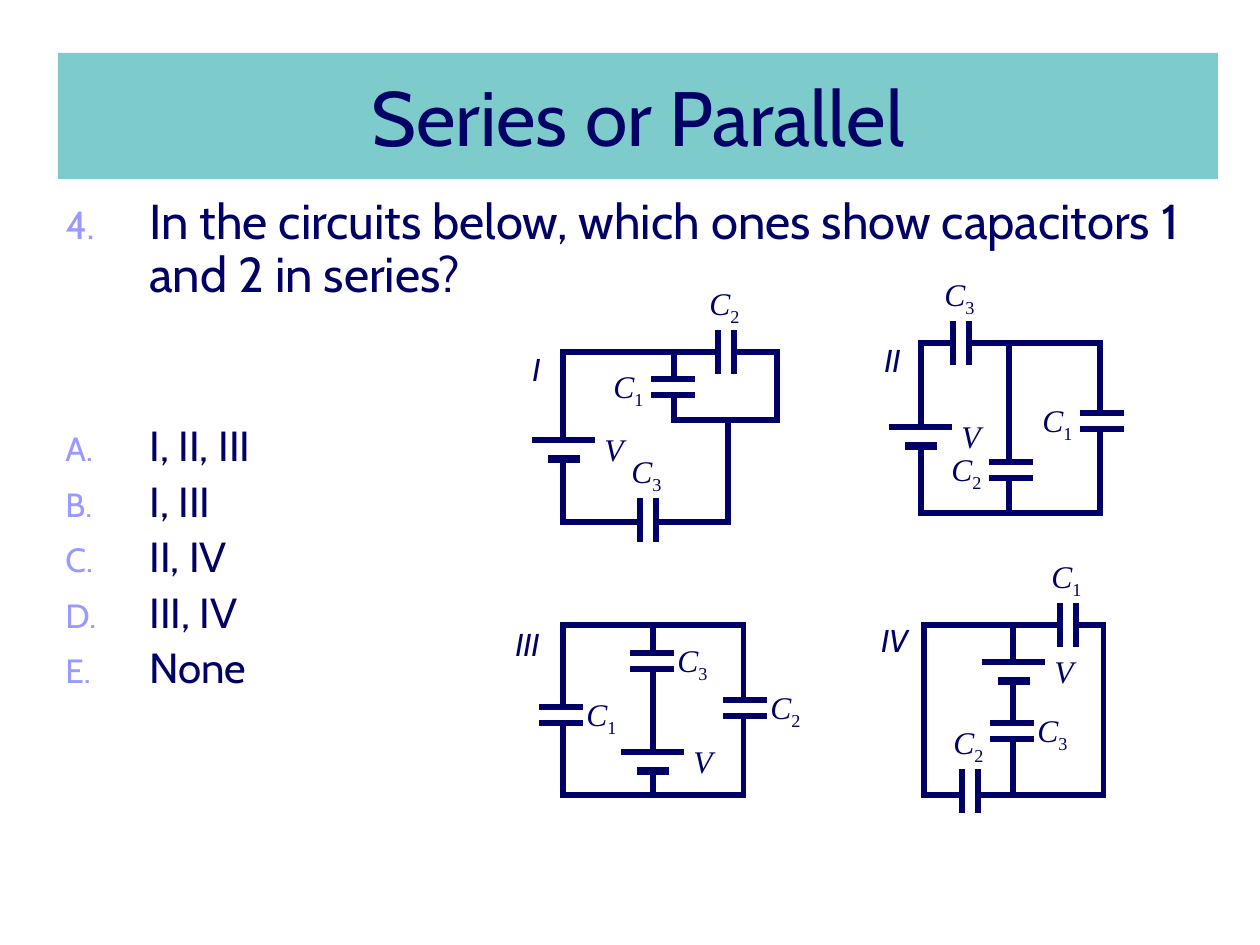
import pptx
import pptx.util
import pptx.dml.color
import pptx.enum.shapes
import pptx.enum.text
import pptx.oxml.ns
import lxml.etree

PX = 914400 // 126
NAVY = pptx.dml.color.RGBColor(0x00, 0x00, 0x66)
TEAL = pptx.dml.color.RGBColor(0x00, 0x99, 0x99)
LILAC = pptx.dml.color.RGBColor(0x99, 0x99, 0xFF)
WHITE = pptx.dml.color.RGBColor(0xFF, 0xFF, 0xFF)
SANS, SERIF = "Cabin", "Times New Roman"

TITLE = "Series or Parallel"
QUESTION = "In the circuits below, which ones show capacitors 1 and 2 in series?"
ANSWERS = ["I, II, III", "I, III", "II, IV", "III, IV", "None"]

# Circuit: name box, wire loops (the second hides wires behind it), battery
# (left end of its long plate), and capacitors as (number, x, y of the first
# plate, side of the label)
CIRCUITS = [
    dict(name="III", name_box=(500, 619, 55, 50), fills=(WHITE, WHITE),
         loops=[(563, 625, 91, 170), (653, 625, 91, 170)], battery=(621, 752),
         capacitors=[(1, 539, 707, "right"), (3, 630, 653, "right"),
                     (2, 723, 700, "right")]),
    dict(name="II", name_box=(870, 335, 45, 50), fills=(WHITE, WHITE),
         loops=[(921, 343, 91, 170), (1009, 343, 91, 170)], battery=(889, 427),
         capacitors=[(2, 989, 462, "left"), (1, 1080, 413, "left"),
                     (3, 953, 321, "above")]),
    dict(name="IV", name_box=(868, 615, 53, 50), fills=(WHITE, WHITE),
         loops=[(924, 625, 91, 170), (1013, 625, 91, 170)], battery=(982, 662),
         capacitors=[(3, 990, 723, "right"), (1, 1060, 603, "above"),
                     (2, 962, 769, "above")]),
    dict(name="I", name_box=(519, 344, 35, 50), fills=(None, WHITE),
         loops=[(563, 352, 165, 170), (674, 352, 103, 68)], battery=(532, 440),
         capacitors=[(1, 651, 379, "left"), (2, 718, 330, "above"),
                     (3, 640, 498, "above")]),
]
LABEL_OFFSET = {"right": (35, -18), "left": (-50, -18), "above": (-21, -52)}
PLATE, PLATE_GAP = 44, 16


def emu(*lengths):
    return [n * PX for n in lengths]


def add_xml(parent, tag, **attrs):
    return lxml.etree.SubElement(parent, pptx.oxml.ns.qn(tag), attrs)


def add_run(p, text, size, font=SANS, italic=False):
    r = p.add_run()
    r.text = text
    fmt = dict(size=pptx.util.Pt(size), name=font, italic=italic)
    for key, value in fmt.items():
        setattr(r.font, key, value)
    r.font.color.rgb = NAVY
    return r


def add_rect(shapes, box, fill=None, line=None):
    sp = shapes.add_shape(pptx.enum.shapes.MSO_SHAPE.RECTANGLE, *emu(*box))
    sp.shadow.inherit = False
    if fill is None:
        sp.fill.background()
    else:
        sp.fill.solid()
        sp.fill.fore_color.rgb = fill
    if line is None:
        sp.line.fill.background()
    else:
        sp.line.color.rgb = NAVY
        sp.line.width = pptx.util.Pt(line)
        add_xml(sp.line._get_or_add_ln(), "a:miter", lim="800000")
    return sp


def add_line(shapes, x1, y1, x2, y2, width=3):
    c = shapes.add_connector(pptx.enum.shapes.MSO_CONNECTOR.STRAIGHT,
                             *emu(x1, y1, x2, y2))
    c.line.color.rgb = NAVY
    c.line.width = pptx.util.Pt(width)
    add_xml(c._element.spPr, "a:effectLst")


def add_label(shapes, box, text, font=SERIF, subscript=None):
    tf = shapes.add_textbox(*emu(*box)).text_frame
    tf.word_wrap = False
    tf.auto_size = pptx.enum.text.MSO_AUTO_SIZE.SHAPE_TO_FIT_TEXT
    p = tf.paragraphs[0]
    p.alignment = pptx.enum.text.PP_ALIGN.CENTER
    add_run(p, text, 18, font, italic=True)
    if subscript is not None:
        r = add_run(p, str(subscript), 18, font)
        r._r.get_or_add_rPr().set("baseline", "-25000")


def add_battery(shapes, x, y):
    add_rect(shapes, (x - 30, y, 118, 18), WHITE)
    add_line(shapes, x, y, x + 63, y)
    add_line(shapes, x + 16, y + 19, x + 48, y + 19, 4.5)
    add_label(shapes, (x + 60, y - 16, 44, 50), "V")


def add_capacitor(shapes, number, x, y, side):
    if side == "above":
        gap = add_rect(shapes, (x - 14, y + 15, 40, 15), WHITE)
        gap.rotation = 270
        for px in (x, x + PLATE_GAP):
            add_line(shapes, px, y + PLATE, px, y)
    else:
        add_rect(shapes, (x, y - 2, 40, 15), WHITE)
        for py in (y, y + PLATE_GAP):
            add_line(shapes, x, py, x + PLATE, py)
    dx, dy = LABEL_OFFSET[side]
    add_label(shapes, (x + dx, y + dy, 55, 55), "C", subscript=number)


def add_item(p, text, size, scheme, start=1, before=0):
    p.line_spacing = 0.9
    p.space_before = pptx.util.Pt(before)
    pPr = p._p.get_or_add_pPr()
    pPr.set("marL", str(84 * PX))
    pPr.set("indent", str(-84 * PX))
    add_xml(add_xml(pPr, "a:buClr"), "a:srgbClr", val=str(LILAC))
    add_xml(pPr, "a:buSzPct", val="80000")
    add_xml(pPr, "a:buAutoNum", type=scheme, startAt=str(start))
    add_run(p, text, size)


prs = pptx.Presentation()
prs.slide_width, prs.slide_height = emu(1260, 945)
s = prs.slides.add_slide(prs.slide_layouts[6])

# Title band
band = add_rect(s.shapes, (58, 53, 1160, 126), TEAL)
color = band.fill._xPr.find(".//" + pptx.oxml.ns.qn("a:srgbClr"))
add_xml(color, "a:alpha", val="51000")
tf = band.text_frame
tf.vertical_anchor = pptx.enum.text.MSO_ANCHOR.MIDDLE
tf.paragraphs[0].alignment = pptx.enum.text.PP_ALIGN.CENTER
add_run(tf.paragraphs[0], TITLE, 44)

# Question and answers
tf = s.shapes.add_textbox(*emu(53, 191, 1157, 634)).text_frame
tf.word_wrap = True
add_item(tf.paragraphs[0], QUESTION, 28, "arabicPeriod", start=4)
for i, answer in enumerate(ANSWERS):
    add_item(tf.add_paragraph(), answer, 24, "alphaUcPeriod",
             before=5.8 if i else 70)

# Circuits
for circuit in CIRCUITS:
    group = s.shapes.add_group_shape().shapes
    for loop, fill in zip(circuit["loops"], circuit["fills"]):
        add_rect(group, loop, fill, line=3)
    add_battery(group, *circuit["battery"])
    for capacitor in circuit["capacitors"]:
        add_capacitor(group, *capacitor)

# Circuit names
for circuit in CIRCUITS:
    add_label(s.shapes, circuit["name_box"], circuit["name"], SANS)

prs.save("out.pptx")
